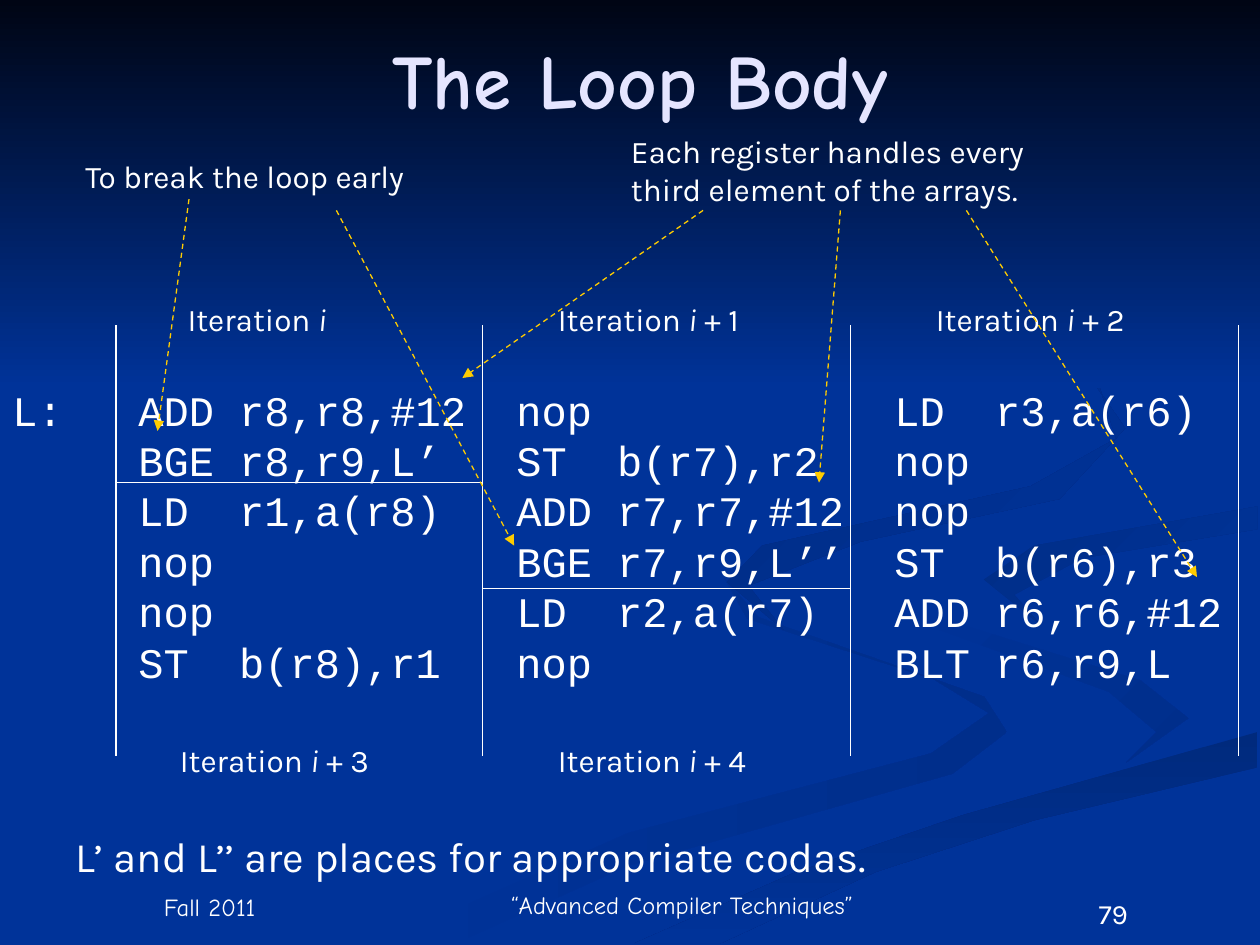
from dataclasses import dataclass

from lxml.etree import SubElement
from pptx import Presentation
from pptx.dml.color import RGBColor
from pptx.enum.dml import MSO_LINE
from pptx.enum.shapes import MSO_CONNECTOR
from pptx.enum.text import MSO_ANCHOR as Anchor, MSO_AUTO_SIZE as AutoSize, PP_ALIGN as Align
from pptx.oxml.ns import qn
from pptx.util import Emu, Pt

PX = 9144  # 100 px to the inch
WHITE, BLUE, GOLD, LILAC = "FFFFFF", "003399", "FFCC00", "E5E5FF"
KARLA, COMIC, COURIER = "Karla", "Comic Neue", "Courier New"


@dataclass
class Swoosh:
    colors: tuple[str, str]
    angle: int  # clockwise
    points: list[tuple[int, int]]


@dataclass
class Label:
    x: int
    y: int
    w: int
    h: int
    runs: list[str]  # every second run is italic
    size: int = 18
    font: str = KARLA
    centered: bool = False
    anchor: Anchor = Anchor.TOP


@dataclass
class Line:
    x1: int
    y1: int
    x2: int
    y2: int
    arrow: bool = False


def px(n: int) -> Emu:
    return Emu(n * PX)


def rgb(color: str) -> RGBColor:
    return RGBColor.from_string(color)


def style(r, font: str, size: int, color: str = WHITE) -> None:
    r.font.name, r.font.size = font, Pt(size)
    r.font.color.rgb = rgb(color)


def add_swoosh(shapes, swoosh: Swoosh) -> None:
    start, *rest = swoosh.points
    builder = shapes.build_freeform(*start, scale=PX)
    builder.add_line_segments(rest, close=True)
    sp = builder.convert_to_shape()
    sp.shadow.inherit = False
    sp.line.fill.background()
    sp.fill.gradient()
    sp.fill.gradient_angle = -swoosh.angle % 360
    for i, (stop, color) in enumerate(zip(sp.fill.gradient_stops, swoosh.colors)):
        stop.position = i
        stop.color.rgb = rgb(color)


def add_text(shapes, x: int, y: int, w: int, h: int, wrap: bool = False):
    tf = shapes.add_textbox(px(x), px(y), px(w), px(h)).text_frame
    tf.word_wrap = wrap
    tf.auto_size = AutoSize.NONE if wrap else AutoSize.SHAPE_TO_FIT_TEXT
    return tf


def add_label(shapes, label: Label) -> None:
    tf = add_text(shapes, label.x, label.y, label.w, label.h, wrap=label.centered)
    tf.vertical_anchor = label.anchor
    p = tf.paragraphs[0]
    p.alignment = Align.CENTER if label.centered else Align.LEFT
    for i, text in enumerate(label.runs):
        r = p.add_run()
        r.text = text
        style(r, label.font, label.size)
        r.font.italic = i % 2 == 1


def add_lines(shapes, x: int, y: int, w: int, h: int, lines: list[str],
              font: str, size: int, tabs: tuple[int, ...] = ()) -> None:
    tf = add_text(shapes, x, y, w, h)
    tf.text = "\n".join(lines)
    for p in tf.paragraphs:
        if tabs:
            tab_list = SubElement(p._p.get_or_add_pPr(), qn("a:tabLst"))
            for pos in tabs:
                SubElement(tab_list, qn("a:tab"), pos=str(px(pos)), algn="l")
        for r in p.runs:
            style(r, font, size)


def add_line(shapes, line: Line) -> None:
    c = shapes.add_connector(MSO_CONNECTOR.STRAIGHT, px(line.x1), px(line.y1), px(line.x2), px(line.y2))
    c.line.width = Pt(0.75)
    c.line.color.rgb = rgb(GOLD if line.arrow else WHITE)
    if line.arrow:
        c.line.dash_style = MSO_LINE.DASH
        SubElement(c.line._get_or_add_ln(), qn("a:tailEnd"), type="triangle")
    SubElement(c._element.spPr, qn("a:effectLst"))


# Background swooshes, back to front, then the dark band at the top
SWOOSHES = [
    Swoosh((BLUE, "002E8B"), 0, [
        (575, 459), (593, 491), (741, 539), (785, 566), (739, 598), (499, 661), (300, 749),
        (361, 749), (499, 687), (756, 614), (799, 581), (781, 553), (602, 490)]),
    Swoosh((BLUE, "002E8B"), 45, [
        (724, 464), (746, 500), (880, 549), (918, 581), (894, 605), (943, 570), (905, 540), (745, 490)]),
    Swoosh(("002A7D", BLUE), 90, [
        (503, 749), (571, 749), (695, 692), (821, 651), (998, 609), (998, 581), (764, 647), (630, 693)]),
    Swoosh(("002D86", BLUE), 45, [
        (781, 460), (826, 496), (805, 472), (859, 443), (998, 420), (998, 402), (821, 433)]),
    Swoosh(("002B82", BLUE), 45, [
        (683, 430), (841, 396), (893, 340), (854, 283), (762, 233), (870, 299), (886, 348),
        (818, 386), (605, 433), (577, 462), (622, 500), (594, 465)]),
    Swoosh(("000514", BLUE), 90, [(0, 0), (0, 308), (1000, 308), (1000, 0)]),
]

# Scheduled code: label, then one column per iteration
CODE = [
    "L:\tADD r8,r8,#12\tnop\tLD  r3,a(r6)",
    "\tBGE r8,r9,L’\tST  b(r7),r2\tnop",
    "\tLD  r1,a(r8)\tADD r7,r7,#12\tnop",
    "\tnop\tBGE r7,r9,L’’\tST  b(r6),r3",
    "\tnop\tLD  r2,a(r7)\tADD r6,r6,#12",
    "\tST  b(r8),r1\tnop\tBLT r6,r9,L",
]
COLUMN_EDGES = (92, 383, 675, 983)
RULES = [Line(x, 258, x, 600) for x in COLUMN_EDGES] + [
    Line(*COLUMN_EDGES[i:i + 1], y, COLUMN_EDGES[i + 1], y) for i, y in enumerate((383, 467))]
ARROWS = [Line(*ends, arrow=True) for ends in (
    (150, 158, 125, 342), (267, 167, 408, 433),
    (558, 167, 367, 300), (667, 167, 650, 383), (767, 167, 950, 458))]

LABELS = [
    Label(800, 707, 167, 40, ["79"], 16, centered=True),
    Label(50, 700, 233, 36, ["Fall 2011"], 14, COMIC, True, Anchor.BOTTOM),
    Label(383, 700, 317, 35, ["“Advanced Compiler Techniques”"], 14, COMIC, True, Anchor.BOTTOM),
    Label(139, 233, 141, 40, ["Iteration ", "i"]),
    *(Label(133 + 300 * (n % 3), 233 + 350 * (n // 3), 176, 40, ["Iteration ", "i", f" + {n}"])
      for n in range(1, 5)),
    Label(58, 120, 290, 40, ["To break the loop early"]),
    Label(50, 654, 674, 50, ["L’ and L’’ are places for appropriate codas."], 24),
]


def main() -> None:
    prs = Presentation()
    prs.slide_width, prs.slide_height = px(1000), px(750)
    s = prs.slides.add_slide(prs.slide_layouts[5])
    s.background.fill.solid()
    s.background.fill.fore_color.rgb = rgb(BLUE)
    shapes = s.shapes

    for swoosh in SWOOSHES:
        add_swoosh(shapes, swoosh)

    # Title, brought in front of the background
    title = shapes.title
    shapes._spTree.append(title._element)
    title.left, title.top, title.width, title.height = px(83), px(0), px(850), px(125)
    tf = title.text_frame
    tf.text = "The Loop Body"
    tf.vertical_anchor = Anchor.MIDDLE
    p = tf.paragraphs[0]
    p.alignment = Align.CENTER
    r = p.runs[0]
    style(r, COMIC, 44, LILAC)
    r.font.bold = True

    add_lines(shapes, 0, 300, 980, 250, CODE, COURIER, 24, tabs=(100, 400, 700))
    add_lines(shapes, 491, 100, 343, 70,
              ["Each register handles every", "third element of the arrays."], KARLA, 18)
    for label in LABELS:
        add_label(shapes, label)
    for line in RULES + ARROWS:
        add_line(shapes, line)

    prs.save("out.pptx")


if __name__ == "__main__":
    main()
